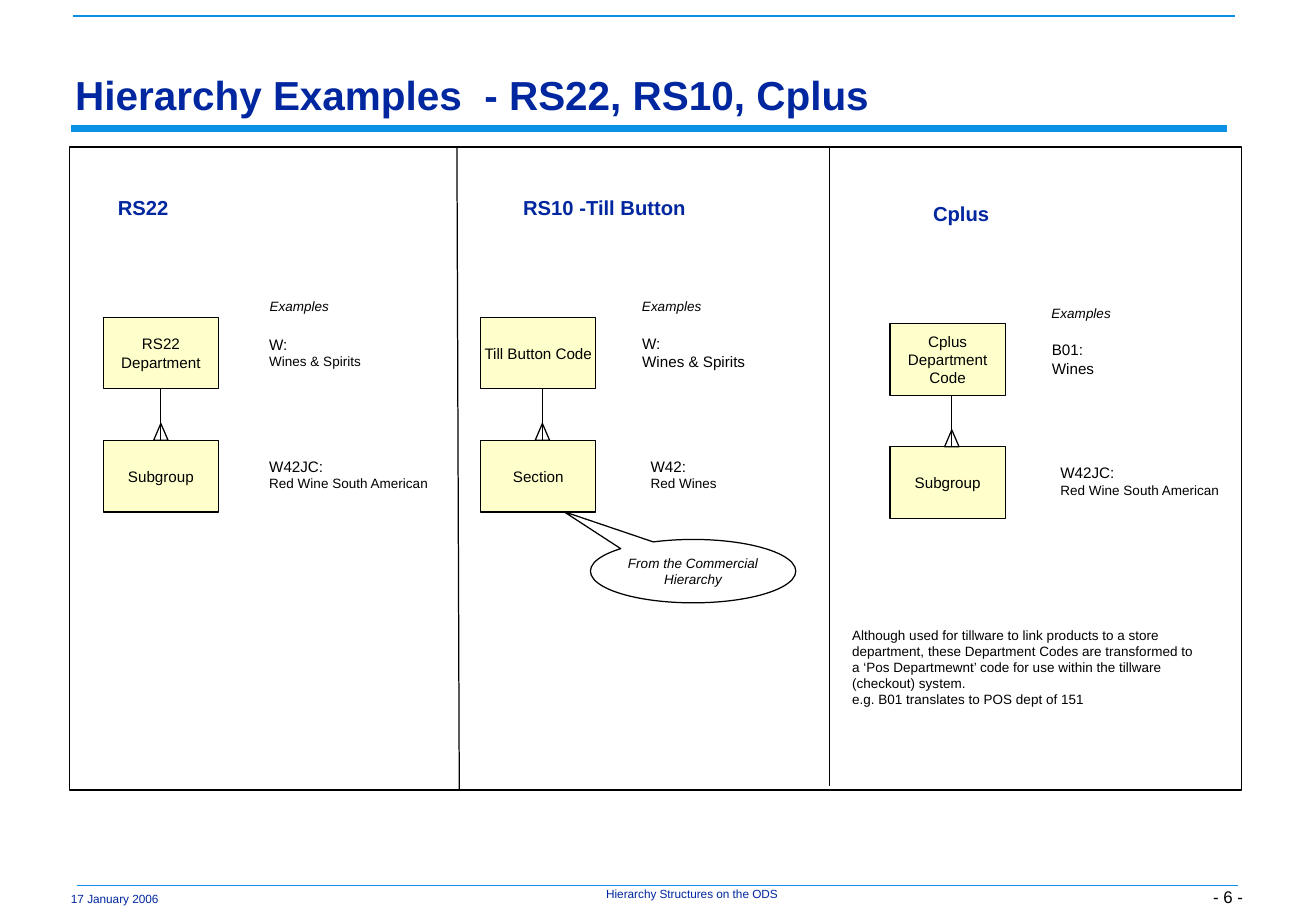
from dataclasses import dataclass

from lxml import etree
from pptx import Presentation
from pptx.dml.color import RGBColor
from pptx.enum.shapes import MSO_CONNECTOR, MSO_SHAPE
from pptx.enum.text import MSO_ANCHOR, MSO_AUTO_SIZE, PP_ALIGN
from pptx.oxml.ns import qn
from pptx.util import Pt

LEFT, CENTER, RIGHT = PP_ALIGN.LEFT, PP_ALIGN.CENTER, PP_ALIGN.RIGHT
TOP, MIDDLE, BOTTOM = MSO_ANCHOR.TOP, MSO_ANCHOR.MIDDLE, MSO_ANCHOR.BOTTOM
STRAIGHT = MSO_CONNECTOR.STRAIGHT
RECT, CROW_FOOT = MSO_SHAPE.RECTANGLE, MSO_SHAPE.ISOSCELES_TRIANGLE
CALLOUT = MSO_SHAPE.OVAL_CALLOUT


@dataclass(frozen=True)
class Theme:
    font: str = "Arial"
    navy: RGBColor = RGBColor(0x00, 0x27, 0x9F)
    blue: RGBColor = RGBColor(0x0A, 0x91, 0xE6)
    cream: RGBColor = RGBColor(0xFF, 0xFF, 0xCC)
    black: RGBColor = RGBColor(0, 0, 0)
    title: float = 24
    heading: float = 12
    page: float = 10
    body: float = 9
    small: float = 8
    footer: float = 7
    thin: float = 0.75


T = Theme()
BOX_W, BOX_H, BOX_STEP = 68.4, 42.5, 73


@dataclass(frozen=True)
class Column:
    """One hierarchy; the dx values are offsets from the left of its boxes."""
    left: float
    top: float
    heading: str
    heading_dx: float
    examples_dx: float
    crow_dx: float
    parent: str
    parent_example: str
    parent_dx: float
    parent_size: float
    child: str
    child_example: str
    child_dx: float


COLUMNS = [
    Column(61.2, 188, "RS22", 1.6, 85.7, 34.2,
           "RS22 Department", "W:\nWines & Spirits", 91.4, T.small,
           "Subgroup", "W42JC:\nRed Wine South American", 91.4),
    Column(285, 188, "RS10 -Till Button", 18.2, 82.8, 36.7,
           "Till Button Code", "W:\nWines & Spirits", 88.8, T.body,
           "Section", "W42:\nRed Wines", 93.8),
    Column(527.8, 191.8, "Cplus", 18.5, 82.8, 36.7,
           "Cplus\nDepartment\nCode", "B01:\nWines", 89, T.body,
           "Subgroup", "W42JC:\nRed Wine South American", 94),
]


def write(shape, text, size, color=T.black, align=LEFT, anchor=MIDDLE,
          inset=(7.2, 3.6), bold=False, italic=False):
    tf = shape.text_frame
    tf.text = text
    tf.word_wrap = True
    tf.auto_size = MSO_AUTO_SIZE.NONE
    tf.vertical_anchor = anchor
    tf.margin_left = tf.margin_right = Pt(inset[0])
    tf.margin_top = tf.margin_bottom = Pt(inset[1])
    for p in tf.paragraphs:
        p.alignment = align
        for r in p.runs:
            r.font.name = T.font
            r.font.size = Pt(size)
            r.font.color.rgb = color
            r.font.bold = bold
            r.font.italic = italic
    return tf


def add_label(s, x, y, w, h, text, size, **style):
    tb = s.shapes.add_textbox(Pt(x), Pt(y), Pt(w), Pt(h))
    return write(tb, text, size, **style)


def add_figure(s, kind, x, y, w, h, fill=None):
    sp = s.shapes.add_shape(kind, Pt(x), Pt(y), Pt(w), Pt(h))
    sp.shadow.inherit = False
    if fill is None:
        sp.fill.background()
    else:
        sp.fill.solid()
        sp.fill.fore_color.rgb = fill
    sp.line.color.rgb = T.black
    sp.line.width = Pt(T.thin)
    return sp


def add_line(s, x1, y1, x2, y2, color=T.black, width=T.thin):
    ln = s.shapes.add_connector(STRAIGHT, Pt(x1), Pt(y1), Pt(x2), Pt(y2))
    ln.line.color.rgb = color
    ln.line.width = Pt(width)
    etree.SubElement(ln._element.spPr, qn("a:effectLst"))


def add_entity(s, x, y, name):
    box = add_figure(s, RECT, x, y, BOX_W, BOX_H, T.cream)
    write(box, name, T.body, align=CENTER, inset=(1.5, 3.6))


def add_example(s, x, y, text, size):
    tf = add_label(s, x, y, 114, 28.4, text, size)
    tf.paragraphs[0].runs[0].font.size = Pt(T.body)


def add_column(s, c):
    child_top = c.top + BOX_STEP
    add_label(s, c.left + c.heading_dx, c.top - 76, 131, 21.6, c.heading,
              T.heading, color=T.navy, bold=True)
    add_label(s, c.left + c.examples_dx, c.top - 15, 61.2, 17.3, "Examples",
              T.small, align=CENTER, italic=True)

    # Boxes and their examples
    add_entity(s, c.left, c.top, c.parent)
    add_entity(s, c.left, child_top, c.child)
    add_example(s, c.left + c.parent_dx, c.top + 6.7, c.parent_example,
                c.parent_size)
    add_example(s, c.left + c.child_dx, child_top + 6, c.child_example,
                T.small)

    # One-to-many link
    x = c.left + c.crow_dx
    add_line(s, x, c.top + BOX_H, x, child_top)
    add_figure(s, CROW_FOOT, x - 4.3, child_top - 10, 8.6, 10)


def add_title(s, text):
    title = s.shapes.title
    title.left, title.top = Pt(39.6), Pt(41.8)
    title.width, title.height = Pt(693.4), Pt(31.7)
    tf = write(title, text, T.title, color=T.navy, anchor=BOTTOM,
               inset=(5, 2.2), bold=True)
    tf.paragraphs[0].line_spacing = 0.97


def add_frame(s):
    # Rules
    add_line(s, 43.4, 9.4, 732.4, 9.4, T.blue, 1)
    add_line(s, 42, 76.2, 728, 76.2, T.blue, 4)
    add_line(s, 45.5, 524.9, 734.5, 524.9, T.blue, 1)

    # Footer
    add_label(s, 35, 525, 70, 16, "17 January 2006", T.footer, color=T.navy)
    footer = add_label(s, 355.7, 526.3, 109.4, 8,
                       "Hierarchy Structures on the ODS", T.footer,
                       color=T.navy, align=CENTER, anchor=TOP, inset=(0, 0))
    footer.paragraphs[0].line_spacing = 0.9
    add_label(s, 698.4, 512, 43.8, 28, "- 6 -", T.page, align=RIGHT,
              anchor=BOTTOM, inset=(5, 2.2))


def main():
    prs = Presentation()
    prs.slide_width, prs.slide_height = Pt(780.48), Pt(540)
    s = prs.slides.add_slide(prs.slide_layouts[5])

    add_frame(s)
    add_title(s, "Hierarchy Examples  - RS22, RS10, Cplus")

    # Panel with three columns
    add_figure(s, RECT, 41.2, 87.1, 695, 381.2)
    add_line(s, 271, 87.1, 272.4, 468)
    add_line(s, 492, 88, 492, 466)
    for column in COLUMNS:
        add_column(s, column)

    # Notes on the hierarchies
    callout = add_figure(s, CALLOUT, 350.2, 319.8, 121.8, 37.6)
    callout.adjustments[0] = -0.63
    callout.adjustments[1] = -0.94
    write(callout, "From the Commercial Hierarchy", T.small, align=CENTER,
          inset=(0, 3.6), italic=True)
    add_label(s, 498.3, 368, 221, 55.4,
              "Although used for tillware to link products to a store "
              "department, these Department Codes are transformed to a "
              "‘Pos Departmewnt’ code for use within the tillware "
              "(checkout) system.\n"
              "e.g. B01 translates to POS dept of 151",
              T.small, anchor=TOP)

    prs.save("out.pptx")


if __name__ == "__main__":
    main()
